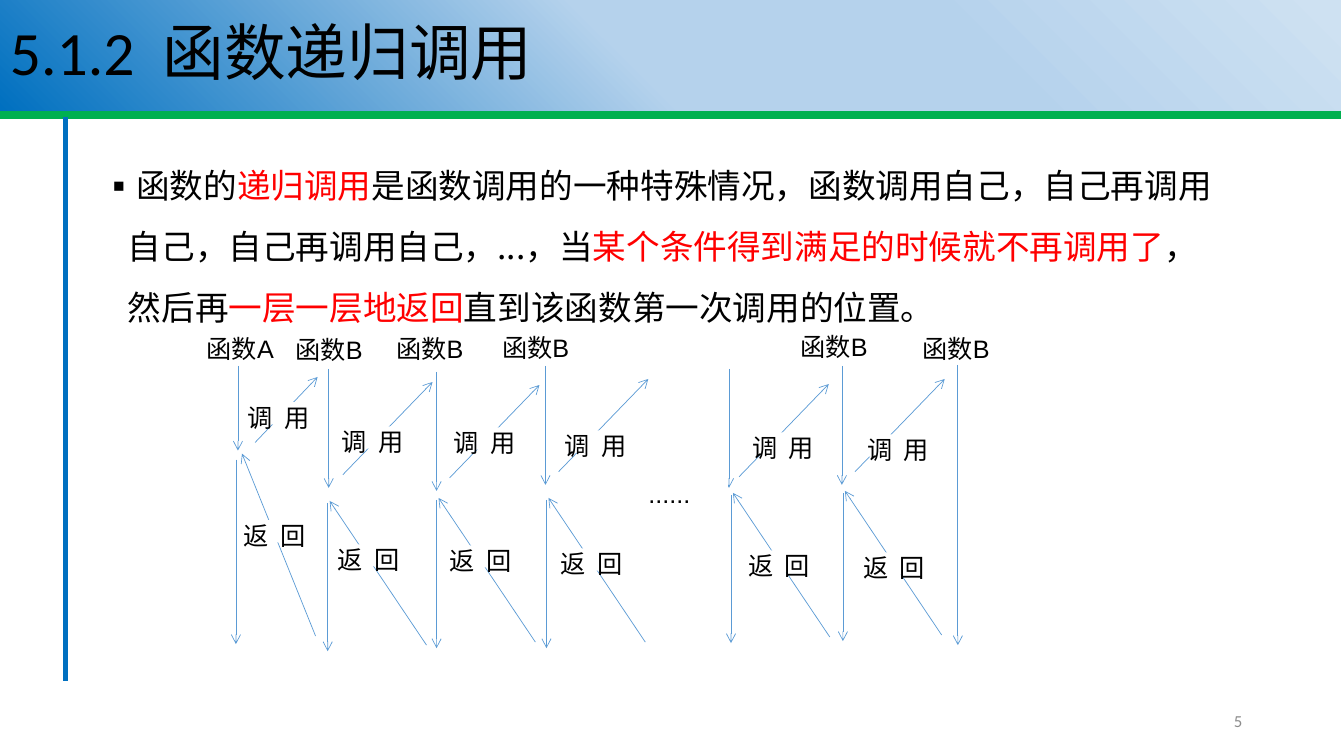
from lxml.etree import SubElement
from pptx import Presentation
from pptx.dml.color import RGBColor
from pptx.enum.shapes import MSO_CONNECTOR, MSO_SHAPE
from pptx.enum.text import MSO_ANCHOR, PP_ALIGN
from pptx.oxml import parse_xml
from pptx.oxml.ns import nsdecls, qn
from pptx.util import Inches, Pt

BLACK = RGBColor(0x00, 0x00, 0x00)
WHITE = RGBColor(0xFF, 0xFF, 0xFF)
RED = RGBColor(0xFF, 0x00, 0x00)
GRAY = RGBColor(0x8C, 0x8C, 0x8C)
GREEN = RGBColor(0x00, 0xB0, 0x50)
NAVY = RGBColor(0x00, 0x70, 0xC0)
BLUE = RGBColor(0x5B, 0x9B, 0xD5)
PALE = RGBColor(0xB5, 0xD2, 0xEC)
LIGHT = RGBColor(0xCE, 0xE1, 0xF2)

CJK = "Noto Sans CJK SC"
BANNER_STOPS = [(1, LIGHT), (29, PALE), (53, PALE), (100, NAVY)]
BODY = [
    ("函数的", BLACK),
    ("递归调用", RED),
    ("是函数调用的一种特殊情况，函数调用自己，自己再调用自己，自己再调用自己，...，当", BLACK),
    ("某个条件得到满足的时候就不再调用了", RED),
    ("，然后再", BLACK),
    ("一层一层地返回", RED),
    ("直到该函数第一次调用的位置。", BLACK),
]
FUNCTIONS = [
    ("函数A", 2.05, 3.31), ("函数B", 2.93, 3.32), ("函数B", 3.93, 3.31),
    ("函数B", 4.98, 3.3), ("函数B", 7.94, 3.29), ("函数B", 9.15, 3.31),
]
LEVELS = [
    {"enter": (3.26, 3.66), "call": (3.4, 4.71), "back": (3.27, 4.97)},
    {"enter": (4.33, 3.69), "call": (4.46, 4.74), "back": (4.35, 4.94)},
    {"enter": (5.41, 3.63), "call": (5.54, 4.68), "back": (5.44, 4.94)},
    {"enter": (7.23, 3.66), "call": (7.33, 4.73), "back": (7.27, 4.89)},
    {"enter": (8.35, 3.63), "call": (8.48, 4.68), "back": (8.38, 4.87)},
]
CALL_LABELS = [(2.46, 3.99), (3.39, 4.23), (4.5, 4.24), (5.6, 4.27), (7.46, 4.29), (8.6, 4.31)]


def apply(obj, **values):
    for name, value in values.items():
        setattr(obj, name, value)


def add_run(p, text, size, font, color):
    r = p.add_run()
    r.text = text
    apply(r.font, size=Pt(size), name=font)
    r.font.color.rgb = color
    SubElement(r.font._element, qn("a:ea")).set("typeface", CJK)


def add_line(s, start, end, color=BLUE, width=0.5, arrow=True):
    points = [Inches(v) for v in (*start, *end)]
    line = s.shapes.add_connector(MSO_CONNECTOR.STRAIGHT, *points)
    line.line.color.rgb = color
    line.line.width = Pt(width)
    if arrow:
        SubElement(line.line._get_or_add_ln(), qn("a:tailEnd")).set("type", "arrow")
    SubElement(line._element.spPr, qn("a:effectLst"))


def add_arrow(s, start, dx, dy):
    add_line(s, start, (start[0] + dx, start[1] + dy))


def add_rect(s, left, top, width, height):
    sp = s.shapes.add_shape(MSO_SHAPE.RECTANGLE, *map(Inches, (left, top, width, height)))
    sp.shadow.inherit = False
    sp.line.fill.background()
    return sp


def add_label(s, text, left, top, width=0.73, height=0.22, inset=0):
    sp = add_rect(s, left, top, width, height)
    sp.fill.solid()
    sp.fill.fore_color.rgb = WHITE
    tf = sp.text_frame
    apply(tf, word_wrap=True, vertical_anchor=MSO_ANCHOR.TOP, margin_left=0, margin_right=0,
          margin_top=Inches(inset), margin_bottom=Inches(inset))
    p = tf.paragraphs[0]
    p.alignment = PP_ALIGN.LEFT
    add_run(p, text, 18, "Arial", BLACK)


def add_banner(s):
    sp = add_rect(s, 0, 0, 13.3, 1.1)
    stops = "".join(
        f'<a:gs pos="{pos * 1000}"><a:srgbClr val="{color}"/></a:gs>' for pos, color in BANNER_STOPS
    )
    grad = parse_xml(
        f'<a:gradFill {nsdecls("a")} rotWithShape="1"><a:gsLst>{stops}</a:gsLst>'
        '<a:lin ang="8100000" scaled="0"/></a:gradFill>'
    )
    sp._element.spPr.find(qn("a:prstGeom")).addnext(grad)
    tf = sp.text_frame
    apply(tf, word_wrap=True, vertical_anchor=MSO_ANCHOR.MIDDLE)
    p = tf.paragraphs[0]
    apply(p, alignment=PP_ALIGN.LEFT, line_spacing=0.9)
    add_run(p, "5.1.2  函数递归调用", 44, "Calibri", BLACK)


def add_text(s, left, top, width, height, anchor):
    tf = s.shapes.add_textbox(*map(Inches, (left, top, width, height))).text_frame
    apply(tf, word_wrap=True, vertical_anchor=anchor)
    return tf.paragraphs[0]


def add_body(s):
    p = add_text(s, 0.92, 1.38, 11.35, 4.95, MSO_ANCHOR.TOP)
    apply(p, line_spacing=Pt(43.5), space_before=Pt(2))
    pPr = p._p.get_or_add_pPr()
    pPr.set("marL", str(Inches(0.25)))
    pPr.set("indent", str(-Inches(0.25)))
    SubElement(pPr, qn("a:buFont")).set("typeface", CJK)
    SubElement(pPr, qn("a:buChar")).set("char", "▪")
    for text, color in BODY:
        add_run(p, text, 24, CJK, color)


def add_recursion(s):
    add_line(s, (2.36, 3.63), (2.36, 4.47))
    add_line(s, (2.53, 4.39), (3.15, 3.74))
    add_line(s, (3.13, 6.31), (2.4, 4.5))
    add_line(s, (2.34, 4.56), (2.34, 6.39))
    for level in LEVELS:
        x, y = level["back"]
        add_arrow(s, level["enter"], 0, 1.18)
        add_arrow(s, level["call"], 0.89, -0.92)
        add_arrow(s, (x + 0.96, y + 1.43), -0.96, -1.43)
        add_arrow(s, (x - 0.02, y + 0.02), 0, 1.47)
    add_line(s, (9.5, 3.62), (9.5, 6.4))
    add_label(s, "......", 6.43, 4.7, 0.79, 0.33, 0.05)
    for text, x, y in FUNCTIONS:
        add_label(s, text, x, y, height=0.21)
    for x, y in CALL_LABELS:
        add_label(s, "调  用", x, y)
        add_label(s, "返  回", x - 0.04, y + 1.17)


def main():
    prs = Presentation()
    apply(prs, slide_width=Inches(13.33), slide_height=Inches(7.5))
    s = prs.slides.add_slide(prs.slide_layouts[6])
    add_line(s, (0, 1.14), (13.3, 1.14), GREEN, 5.25, False)
    add_line(s, (0.65, 1.16), (0.65, 6.76), NAVY, 3.75, False)
    add_banner(s)
    p = add_text(s, 9.42, 6.95, 3, 0.4, MSO_ANCHOR.MIDDLE)
    p.alignment = PP_ALIGN.RIGHT
    add_run(p, "5", 12, "Calibri", GRAY)
    add_body(s)
    add_recursion(s)
    prs.save("out.pptx")


if __name__ == "__main__":
    main()
